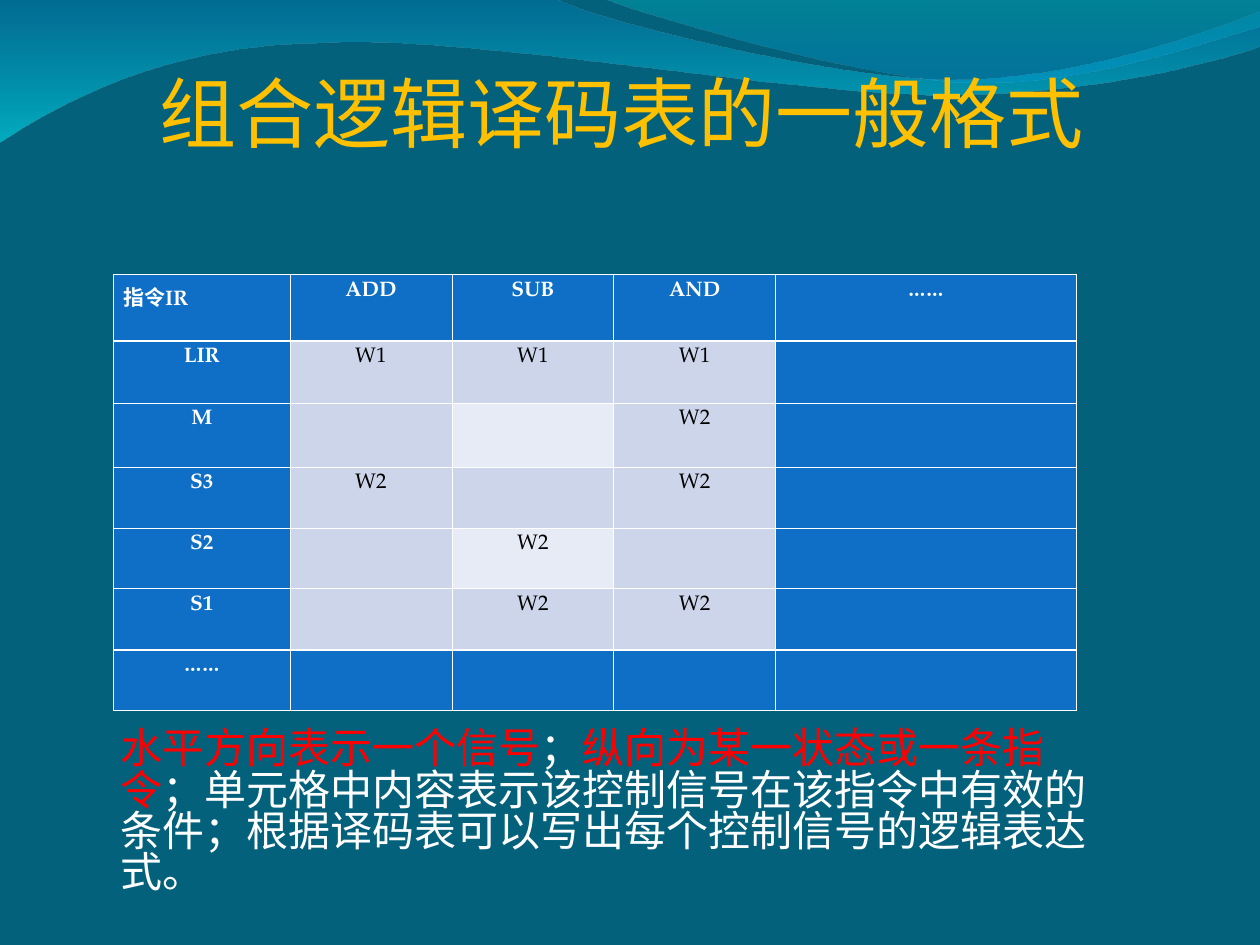
"""Build the slide on the general format of a combinational logic decoding table."""
from dataclasses import dataclass
from typing import Any

from lxml import etree
from pptx import Presentation
from pptx import util as u
from pptx.dml.color import RGBColor
from pptx.enum import text
from pptx.oxml.ns import qn

GRID_COLS, GRID_ROWS = 100, 75
UNIT = u.Inches(0.1)
COLORS = {
    "back": "04617B", "title": "FFC000", "key": "FF0000", "white": "FFFFFF",
    "black": "000000", "head": "0F6FC6", "band": "CCD5EA", "pale": "E7EBF5",
    "blue": "0079AF", "cyan": "00EBF8", "teal": "00ADB6", "sky": "009BE5",
}
SANS, SERIF, TIMES = "Noto Sans CJK SC", "TeX Gyre Pagella", "Times New Roman"


@dataclass
class Wave:
    start: tuple[float, float]
    segments: list[tuple[float, ...]]
    stops: list[tuple[str, int]]


@dataclass
class Box:
    col: float
    row: float
    cols: float
    rows: float
    runs: list[tuple[str, str]]
    font: dict[str, Any]
    para: dict[str, Any]
    frame: dict[str, Any]


WAVES = [
    Wave((0, -0.1), [
        (44, -0.1), (47.6, 1.7, 66.4, 6.3, 75.8, 6.3),
        (85.3, 6.3, 95.8, 2.6, 100, 0.9), (100.1, 3.6),
        (98.3, 4.4, 87, 7.6, 74.6, 7.5), (62.2, 7.5, 38.2, 2.8, 25.7, 3.4),
        (12.9, 3.5, 4.6, 8.3, -0.1, 11.3)], [("blue", 45), ("cyan", 55)]),
    Wave((47.9, -0.1), [
        (50.9, 1.1, 68.2, 6.2, 76.9, 6.5), (85.6, 6.9, 96.1, 3.2, 100, 2.1),
        (100, 0)], [("teal", 45), ("sky", 30)]),
]
BOXES = [
    Box(8.6, 4.65, 81.6, 8.4, [("组合逻辑译码表的一般格式", "title")],
        {"size": u.Pt(44), "name": SANS}, {"alignment": text.PP_ALIGN.CENTER},
        {"vertical_anchor": text.MSO_ANCHOR.MIDDLE, "margin_left": 0,
         "margin_right": 0, "margin_top": 0, "margin_bottom": 0}),
    Box(8.6, 57.5, 81.6, 13, [
        ("水平方向表示一个信号", "key"), ("；", "white"),
        ("纵向为某一状态或一条指令", "key"),
        ("；单元格中内容表示该控制信号在该指令中有效的条件；"
         "根据译码表可以写出每个控制信号的逻辑表达式。", "white")],
        {"size": u.Pt(24), "name": TIMES}, {"line_spacing": 0.82}, {}),
]
ROWS = [
    ["指令IR", "ADD", "SUB", "AND", "……"],
    ["LIR", "W1", "W1", "W1", ""],
    ["M", "", "", "W2", ""],
    ["S3", "W2", "", "W2", ""],
    ["S2", "", "W2", "", ""],
    ["S1", "", "W2", "W2", ""],
    ["……", "", "", "", ""],
]
TABLE_COL, TABLE_ROW = 9.02, 21.8
COL_UNITS = [14, 12.85, 12.85, 12.85, 23.85]
ROW_UNITS = [5.29, 4.91, 5.06] + [4.84] * 4
PALE_CELLS = {(2, 2), (4, 2)}
THICK_LINES = {1, len(ROWS) - 1}


def grid(units: float) -> int:
    """Return the length of a number of grid units."""
    return u.Emu(round(units * UNIT))


def rgb(key: str) -> RGBColor:
    """Return a named colour."""
    return RGBColor.from_string(COLORS[key])


def apply(target: Any, values: dict[str, Any]) -> None:
    """Set each named format value on the target."""
    for name, value in values.items():
        setattr(target, name, value)


def add_run(p: Any, words: str, color: str, font: dict[str, Any]) -> None:
    """Add a formatted run with its East Asian font."""
    r = p.add_run()
    r.text = words
    apply(r.font, font)
    r.font.color.rgb = rgb(color)
    etree.SubElement(r.font._element, qn("a:ea"), typeface=SANS)


def add_wave(s: Any, wave: Wave) -> None:
    """Draw a translucent gradient wave with cubic curves."""
    pts = [tuple(map(grid, seg[i:i + 2]))
           for seg in wave.segments for i in range(0, len(seg), 2)]
    builder = s.shapes.build_freeform(*map(grid, wave.start))
    builder.add_line_segments(pts, close=True)
    sp = builder.convert_to_shape()
    lines = iter(list(sp._element.iter(qn("a:lnTo"))))
    for seg in wave.segments:
        first = next(lines)
        if len(seg) == 6:
            first.tag = qn("a:cubicBezTo")
            for _ in range(2):
                line = next(lines)
                first.append(line[0])
                line.getparent().remove(line)
    sp.shadow.inherit = False
    sp.line.fill.background()
    sp.fill.gradient()
    sp.fill.gradient_angle = 270
    for stop, (key, _) in zip(sp.fill.gradient_stops, wave.stops):
        stop.color.rgb = rgb(key)
    for node, (_, alpha) in zip(sp._element.spPr.iter(qn("a:srgbClr")), wave.stops):
        etree.SubElement(node, qn("a:alpha"), val=str(alpha * 1000))


def add_box(s: Any, box: Box) -> None:
    """Draw a text box placed on the grid, without hanging punctuation."""
    sp = s.shapes.add_textbox(*map(grid, (box.col, box.row, box.cols, box.rows)))
    tf = sp.text_frame
    apply(tf, {"word_wrap": True, **box.frame})
    p = tf.paragraphs[0]
    apply(p, box.para)
    p._p.get_or_add_pPr().set("hangingPunct", "0")
    for words, color in box.runs:
        add_run(p, words, color, box.font)


def add_borders(cell: Any, row: int) -> None:
    """Give a cell white borders, thick beside the header and last row."""
    tc_pr = cell._tc.get_or_add_tcPr()
    thick = {"T": row in THICK_LINES, "B": row + 1 in THICK_LINES}
    for side in "LRTB":
        width = u.Pt(1.47 if thick.get(side) else 0.45)
        ln = etree.SubElement(tc_pr, qn(f"a:ln{side}"), w=str(int(width)))
        fill = etree.SubElement(ln, qn("a:solidFill"))
        etree.SubElement(fill, qn("a:srgbClr"), val=COLORS["white"])


def add_decoding_table(s: Any) -> None:
    """Draw the decoding table."""
    table = s.shapes.add_table(
        len(ROWS), len(COL_UNITS), grid(TABLE_COL), grid(TABLE_ROW),
        grid(sum(COL_UNITS)), grid(sum(ROW_UNITS))).table
    for col, units in zip(table.columns, COL_UNITS):
        col.width = grid(units)
    for i, (row, units) in enumerate(zip(ROWS, ROW_UNITS)):
        table.rows[i].height = grid(units)
        for j, words in enumerate(row):
            cell = table.cell(i, j)
            edge = i in (0, len(ROWS) - 1) or j in (0, len(row) - 1)
            add_borders(cell, i)
            apply(cell, {"margin_left": grid(0.75), "margin_right": grid(0.75)})
            cell.fill.solid()
            cell.fill.fore_color.rgb = rgb(
                "head" if edge else "pale" if (i, j) in PALE_CELLS else "band")
            if words:
                p = cell.text_frame.paragraphs[0]
                p.alignment = text.PP_ALIGN.CENTER if i or j else text.PP_ALIGN.JUSTIFY
                add_run(p, words, "white" if edge else "black",
                        {"size": u.Pt(12), "bold": edge, "name": SERIF})


def main() -> None:
    """Build and save the slide."""
    prs = Presentation()
    apply(prs, {"slide_width": grid(GRID_COLS), "slide_height": grid(GRID_ROWS)})
    s = prs.slides.add_slide(prs.slide_layouts[6])
    s.background.fill.solid()
    s.background.fill.fore_color.rgb = rgb("back")
    for wave in WAVES:
        add_wave(s, wave)
    add_decoding_table(s)
    for box in BOXES:
        add_box(s, box)
    prs.save("out.pptx")


if __name__ == "__main__":
    main()
